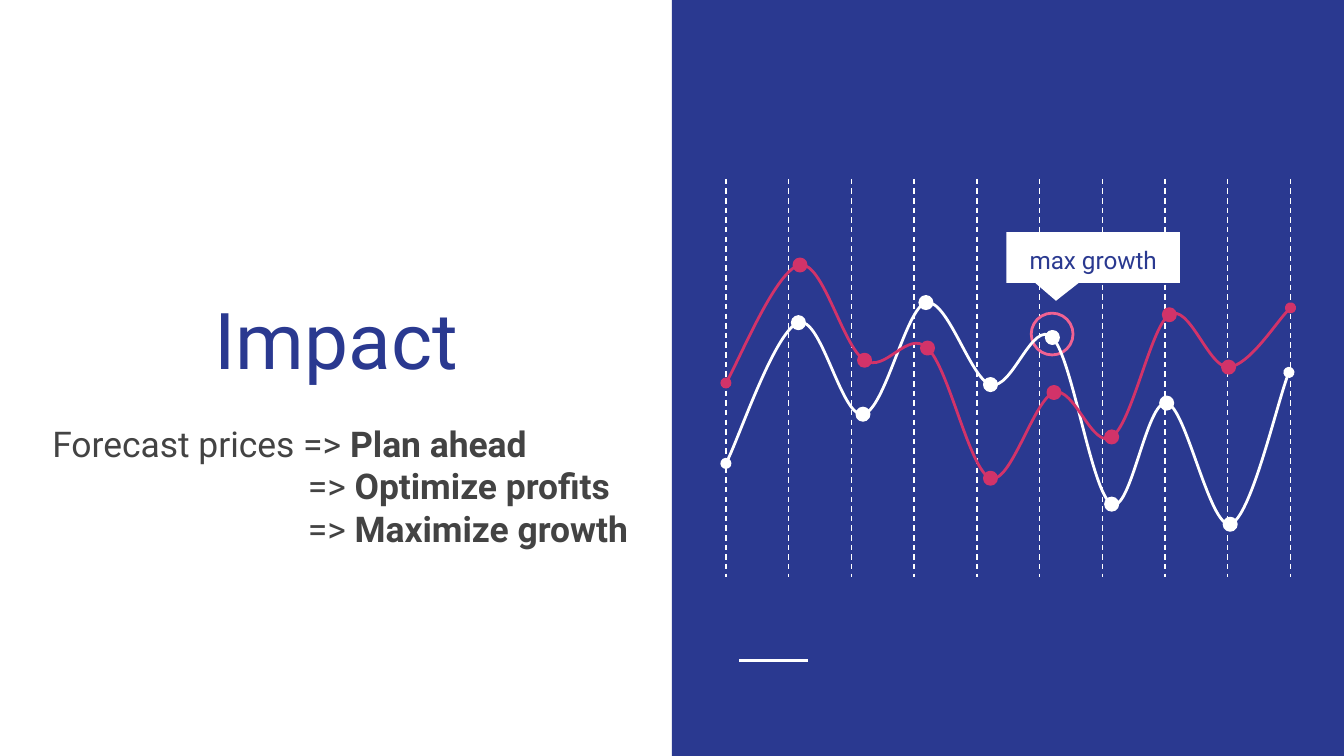
from dataclasses import dataclass

from lxml.etree import SubElement
from pptx import Presentation
from pptx.dml.color import RGBColor as RGB
from pptx.enum.dml import MSO_LINE
from pptx.enum.shapes import MSO_CONNECTOR, MSO_SHAPE
from pptx.enum.text import MSO_ANCHOR as ANCHOR, PP_ALIGN as ALIGN
from pptx.oxml.ns import qn
from pptx.util import Cm, Pt


@dataclass(frozen=True)
class Theme:
    font: str = "Roboto"
    navy: RGB = RGB(0x2A, 0x39, 0x90)
    white: RGB = RGB(0xFF, 0xFF, 0xFF)
    red: RGB = RGB(0xD2, 0x33, 0x69)
    pink: RGB = RGB(0xF0, 0x62, 0x92)
    grey: RGB = RGB(0x43, 0x43, 0x43)
    title: Pt = Pt(42)
    body: Pt = Pt(19)
    label: Pt = Pt(13)
    thin: Pt = Pt(0.75)
    thick: Pt = Pt(1.5)


THEME = Theme()
INSET = 0.25
DOT = 0.23

# Curves in cm from the plot corner: a start, then two handles and a knot each
WHITE_CURVE = [
    (0, 5.38),
    (0.23, 4.95), (0.94, 2.87), (1.37, 2.72),
    (1.8, 2.57), (2.18, 4.52), (2.59, 4.45),
    (3, 4.39), (3.4, 2.44), (3.78, 2.34),
    (4.19, 2.26), (4.62, 3.78), (5, 3.89),
    (5.41, 4.01), (5.79, 2.64), (6.17, 3),
    (6.55, 3.38), (6.91, 5.94), (7.29, 6.15),
    (7.65, 6.35), (7.95, 4.17), (8.33, 4.24),
    (8.69, 4.29), (9.14, 6.6), (9.53, 6.53),
    (9.91, 6.43), (10.44, 4.14), (10.64, 3.66),
]
RED_CURVE = [
    (0, 3.86),
    (0.23, 3.48), (0.97, 1.7), (1.4, 1.63),
    (1.83, 1.55), (2.21, 3.18), (2.62, 3.43),
    (3.02, 3.68), (3.43, 2.84), (3.81, 3.2),
    (4.22, 3.58), (4.6, 5.51), (5, 5.66),
    (5.38, 5.79), (5.82, 4.17), (6.2, 4.04),
    (6.58, 3.91), (6.93, 5.13), (7.29, 4.88),
    (7.67, 4.65), (8.03, 2.79), (8.38, 2.57),
    (8.76, 2.34), (9.12, 3.58), (9.5, 3.56),
    (9.88, 3.53), (10.46, 2.62), (10.67, 2.44),
]


def add_shape(shapes, kind, x, y, w, h, fill=None, line=None):
    sp = shapes.add_shape(kind, Cm(x), Cm(y), Cm(w), Cm(h))
    style_shape(sp, fill, line)
    return sp


def style_shape(sp, fill, line):
    sp.shadow.inherit = False
    for part, color in ((sp.fill, fill), (sp.line.fill, line)):
        if color is None:
            part.background()
        else:
            part.solid()
            part.fore_color.rgb = color
    if line is not None:
        sp.line.width = THEME.thick


def add_line(shapes, x1, y1, x2, y2, width):
    line = shapes.add_connector(MSO_CONNECTOR.STRAIGHT, Cm(x1), Cm(y1), Cm(x2), Cm(y2))
    line.line.color.rgb = THEME.white
    line.line.width = width
    SubElement(line.element.spPr, qn("a:effectLst"))
    return line


def set_font(p, size, color):
    p.font.name, p.font.size, p.font.color.rgb = THEME.font, size, color


def set_frame(tf, anchor):
    tf.word_wrap = True
    tf.vertical_anchor = anchor
    tf.margin_left = tf.margin_right = tf.margin_top = tf.margin_bottom = Cm(INSET)


def add_curve(shapes, points, color):
    """Draw a Bézier curve with round ends."""
    start, *rest = [(Cm(x), Cm(y)) for x, y in points]
    builder = shapes.build_freeform(*start)
    builder.add_line_segments(rest, close=False)
    sp = builder.convert_to_shape()
    style_shape(sp, None, color)
    # Each three straight segments become one cubic segment
    path = sp.element.spPr.find(".//" + qn("a:path"))
    segments = path.findall(qn("a:lnTo"))
    for i in range(0, len(segments), 3):
        cubic = SubElement(path, qn("a:cubicBezTo"))
        for segment in segments[i:i + 3]:
            cubic.append(segment[0])
            path.remove(segment)
    ln = sp.element.spPr.find(qn("a:ln"))
    for end in ("a:headEnd", "a:tailEnd"):
        SubElement(ln, qn(end), type="oval")


def add_series(sl, left, top, curve, color):
    """One curve with a dot on each inner knot."""
    points = [(left + x, top + y) for x, y in curve]
    shapes = sl.shapes.add_group_shape().shapes
    add_curve(shapes, points, color)
    for x, y in points[3:-1:3]:
        add_shape(shapes, MSO_SHAPE.OVAL, x - DOT / 2, y - DOT / 2, DOT, DOT, color, color)


def add_callout(sl, x, y, w, h, text):
    sp = add_shape(sl.shapes, MSO_SHAPE.ROUNDED_RECTANGULAR_CALLOUT, x, y, w, h, THEME.white)
    for i, value in enumerate((-0.214, 0.85, 0)):
        sp.adjustments[i] = value
    set_frame(sp.text_frame, ANCHOR.MIDDLE)
    p = sp.text_frame.paragraphs[0]
    p.text = text
    p.alignment, p.line_spacing = ALIGN.CENTER, 1.15
    set_font(p, THEME.label, THEME.navy)


def add_plot(sl, left, top, width, height):
    # Ten evenly spaced dashed guides
    guides = sl.shapes.add_group_shape().shapes
    for i in range(10):
        x = left + i * width / 9
        guide = add_line(guides, x, top, x, top + height, THEME.thin)
        guide.line.dash_style = MSO_LINE.DASH
    # Highlight ring, curves and label
    add_shape(sl.shapes, MSO_SHAPE.OVAL, left + 5.77, top + 2.54, 0.79, 0.79, line=THEME.pink)
    add_series(sl, left, top, WHITE_CURVE, THEME.white)
    add_callout(sl, left + 5.3, top + 1.01, 3.28, 0.96, "max growth")
    add_series(sl, left, top, RED_CURVE, THEME.red)


def add_panel(sl, left, top, width, height):
    """Coloured half with the plot and a short rule."""
    add_shape(sl.shapes, MSO_SHAPE.RECTANGLE, left, top, width, height, THEME.navy)
    add_line(sl.shapes, left + 1.27, top + 12.49, left + 2.57, top + 12.49, THEME.thick)
    add_plot(sl, left + 1.02, top + 3.38, 10.67, 7.52)


def add_message(sl, left, top, width):
    """Title and the list of outcomes."""
    title = sl.shapes.title
    title.left, title.top = Cm(left), Cm(top)
    title.width, title.height = Cm(width), Cm(4.34)
    set_frame(title.text_frame, ANCHOR.BOTTOM)
    p = title.text_frame.paragraphs[0]
    p.text, p.alignment = "Impact", ALIGN.CENTER
    set_font(p, THEME.title, THEME.navy)

    box = sl.shapes.add_textbox(Cm(left), Cm(top + 4.52), Cm(width + 0.5), Cm(3.53))
    tf = box.text_frame
    set_frame(tf, ANCHOR.TOP)
    outcomes = (("Forecast prices => ", "Plan ahead", 0),
                ("=> ", "Optimize profits", 4.83),
                ("=> ", "Maximize growth", 4.83))
    for i, (lead, outcome, indent) in enumerate(outcomes):
        p = tf.add_paragraph() if i else tf.paragraphs[0]
        set_font(p, THEME.body, THEME.grey)
        p.add_run().text = lead
        r = p.add_run()
        r.text, r.font.bold = outcome, True
        p._p.get_or_add_pPr().set("marL", str(Cm(indent)))


def main():
    prs = Presentation()
    prs.slide_width, prs.slide_height = Cm(25.4), Cm(14.29)
    sl = prs.slides.add_slide(prs.slide_layouts[5])
    add_panel(sl, 12.7, 0, 12.7, 14.29)
    add_message(sl, 0.74, 3.2, 11.23)
    prs.save("out.pptx")


if __name__ == "__main__":
    main()
